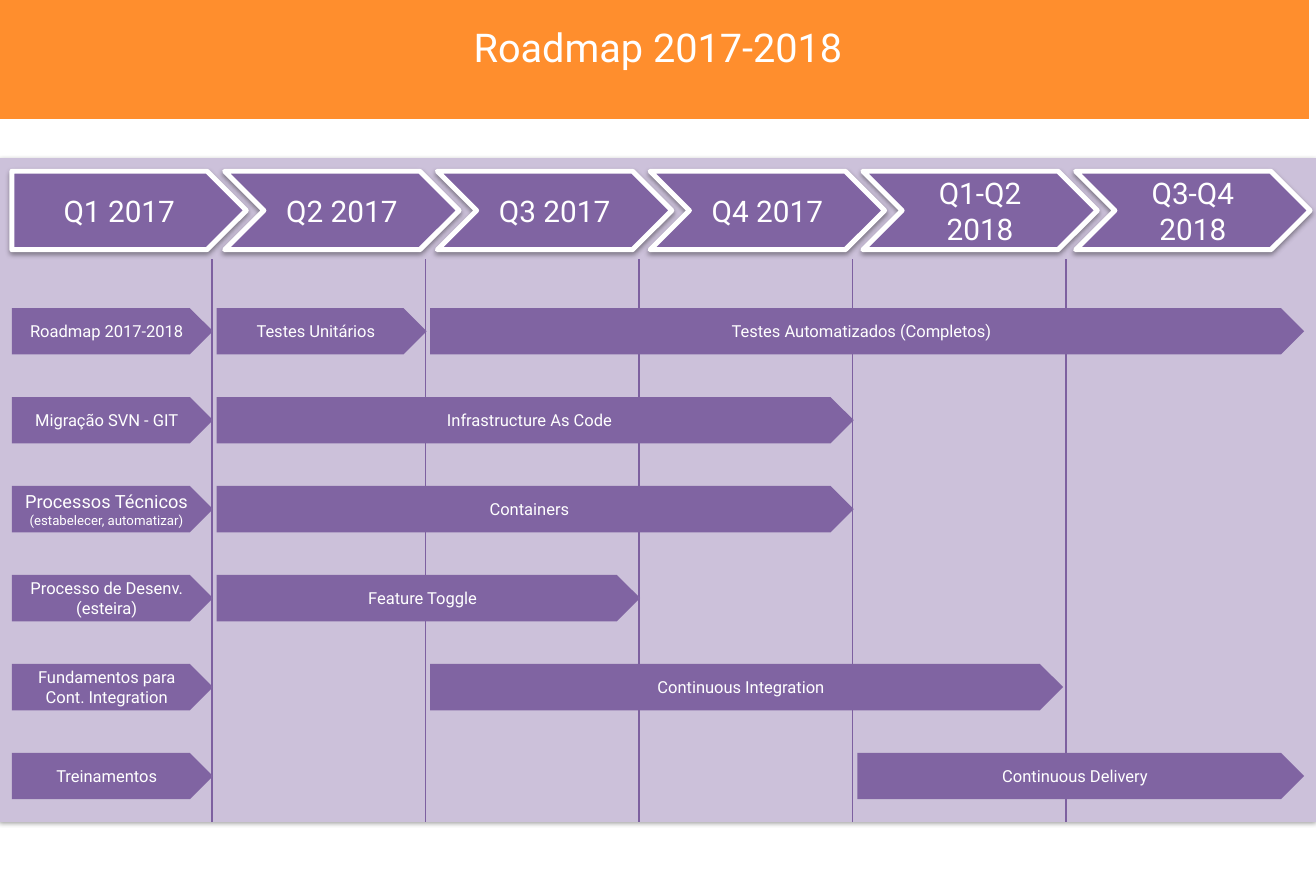
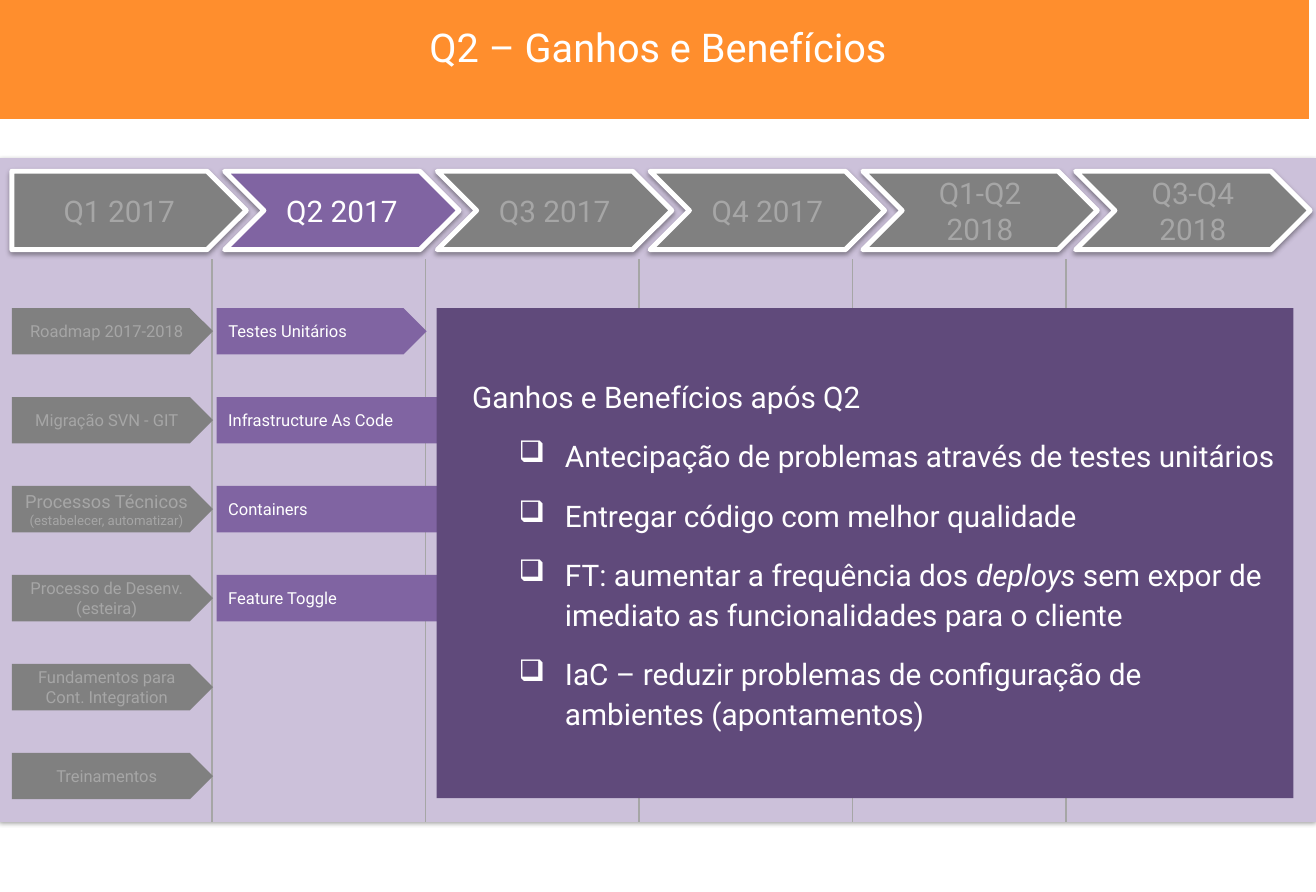
from lxml import etree
from pptx import Presentation
from pptx import util as u
from pptx.dml.color import RGBColor
from pptx.enum import shapes, text
from pptx.oxml.ns import qn

WIDTH, HEIGHT = 11.06, 7.5
FONT = "Roboto"
ORANGE, WHITE = "FF8E2D", "FFFFFF"
LILAC, PURPLE, DARK_PURPLE, LINE_PURPLE = "CCC1DA", "8064A2", "604A7B", "7D60A0"
GRAY, LIGHT_GRAY = "808080", "A6A6A6"
RECTANGLE = shapes.MSO_SHAPE.RECTANGLE
PENTAGON = shapes.MSO_SHAPE.PENTAGON
CHEVRON = shapes.MSO_SHAPE.CHEVRON
CENTER, LEFT = text.PP_ALIGN.CENTER, text.PP_ALIGN.LEFT

# Roadmap grid: quarter columns and task rows
BOARD = (0, 1.33, WIDTH, 5.58)
EDGES = [0.06] + [1.78 + 1.795 * i for i in range(5)] + [10.95]
ROW_TOP, ROW_STEP, BAR_HEIGHT = 2.59, 0.748, 0.39
QUARTERS = ["Q1 2017", "Q2 2017", "Q3 2017", "Q4 2017", "Q1-Q2 2018", "Q3-Q4 2018"]

FIRST_QUARTER = [
    "Roadmap 2017-2018",
    "Migração SVN - GIT",
    [("Processos Técnicos ", 11), ("(estabelecer, automatizar)", 8)],
    "Processo de Desenv. (esteira)",
    "Fundamentos para Cont. Integration",
    "Treinamentos",
]
# label, row, first column, end column
SECOND_QUARTER = [
    ("Testes Unitários", 0, 1, 2),
    ("Infrastructure As Code", 1, 1, 4),
    ("Containers", 2, 1, 4),
    ("Feature Toggle", 3, 1, 3),
]
LATER_QUARTERS = [
    ("Testes Automatizados (Completos)", 0, 2, 6),
    ("Continuous Integration", 4, 2, 4.98),
    ("Continuous Delivery", 5, 4, 6),
]
BENEFITS = [
    [("Antecipação de problemas através de testes unitários", False)],
    [("Entregar código com melhor qualidade", False)],
    [("FT: aumentar a frequência dos ", False), ("deploys", True),
     (" sem expor de imediato as funcionalidades para o cliente", False)],
    [("IaC – reduzir problemas de configuração de ambientes (apontamentos)", False)],
]


def color(value):
    return RGBColor.from_string(value)


def inches(*values):
    return [u.Inches(value) for value in values]


def style_font(paragraph, size, font_color, align):
    paragraph.alignment = align
    paragraph.font.name = FONT
    paragraph.font.size = u.Pt(size)
    paragraph.font.color.rgb = color(font_color)


def paint(shape, fill, line=None):
    shape.shadow.inherit = False
    shape.fill.solid()
    shape.fill.fore_color.rgb = color(fill)
    if line:
        shape.line.color.rgb = color(line)
        shape.line.width = u.Pt(3)
    else:
        shape.line.fill.background()


def add_block(slide, kind, box, fill, line=None):
    shape = slide.shapes.add_shape(kind, *inches(*box))
    paint(shape, fill, line)
    shape.text_frame.word_wrap = True
    shape.text_frame.vertical_anchor = text.MSO_ANCHOR.MIDDLE
    return shape


def drop_shadow(shape):
    effects = shape._element.spPr.find(qn("a:effectLst"))
    shadow = etree.SubElement(effects, qn("a:outerShdw"), blurRad="40000",
                              dist="20000", dir="5400000", rotWithShape="0")
    black = etree.SubElement(shadow, qn("a:srgbClr"), val="000000")
    etree.SubElement(black, qn("a:alpha"), val="38000")


def bezier(points, steps=40):
    """Points along a cubic curve, without its start."""
    for step in range(1, steps + 1):
        t = step / steps
        weights = ((1 - t) ** 3, 3 * t * (1 - t) ** 2, 3 * t * t * (1 - t), t ** 3)
        yield tuple(sum(w * p[axis] for w, p in zip(weights, points)) for axis in (0, 1))


def add_title_band(slide, title):
    # Curved band
    right_half = [(10.82, 0.59), (9.36, 0.74), (7.48, 0.82), (5.43, 0.82)]
    left_half = [(5.43, 0.82), (3.38, 0.82), (1.5, 0.74), (0.04, 0.59)]
    outline = [(WIDTH, 0), (WIDTH, 0.57), right_half[0],
               *bezier(right_half), *bezier(left_half), (0, 0.59)]
    builder = slide.shapes.build_freeform(0, 0, scale=u.Inches(1))
    builder.add_line_segments(outline, close=True)
    paint(builder.convert_to_shape(), ORANGE)
    # Title
    frame = slide.shapes.add_textbox(*inches(0.94, 0.14, 9.18, 0.5)).text_frame
    frame.word_wrap = True
    frame.paragraphs[0].text = title
    style_font(frame.paragraphs[0], 24, WHITE, CENTER)


def add_board(slide, box, active, divider_color):
    left, top, width, height = box
    drop_shadow(add_block(slide, RECTANGLE, box, LILAC))
    # Quarter headings
    for i, quarter in enumerate(QUARTERS):
        fill, font_color = (PURPLE, WHITE) if i in active else (GRAY, LIGHT_GRAY)
        heading_box = (left + 0.1 + 1.788 * i, top + 0.11, 1.97, 0.66)
        heading = add_block(slide, CHEVRON if i else PENTAGON, heading_box, fill, WHITE)
        drop_shadow(heading)
        paragraph = heading.text_frame.paragraphs[0]
        paragraph.text = quarter
        style_font(paragraph, 18, font_color, CENTER)
    # Dividers between quarters
    for x in EDGES[1:-1]:
        divider = slide.shapes.add_connector(
            shapes.MSO_CONNECTOR.STRAIGHT, *inches(x, top + 0.85, x, top + height))
        divider.line.color.rgb = color(divider_color)
        divider.line.width = u.Pt(1)
        etree.SubElement(divider._element.spPr, qn("a:effectLst"))


def column_edge(column):
    whole = int(column)
    if whole == column:
        return EDGES[whole]
    return EDGES[whole] + (column - whole) * (EDGES[whole + 1] - EDGES[whole])


def add_bar(slide, label, row, first, end, fill=PURPLE, font_color=WHITE, align=CENTER):
    left = column_edge(first) + 0.04
    box = (left, ROW_TOP + ROW_STEP * row, column_edge(end) + 0.01 - left, BAR_HEIGHT)
    bar = add_block(slide, PENTAGON, box, fill)
    paragraph = bar.text_frame.paragraphs[0]
    style_font(paragraph, 10, font_color, align)
    if isinstance(label, str):
        paragraph.text = label
    else:
        for words, size in label:
            run = paragraph.add_run()
            run.text = words
            run.font.size = u.Pt(size)


def add_first_quarter(slide, fill, font_color):
    for row, label in enumerate(FIRST_QUARTER):
        add_bar(slide, label, row, 0, 1, fill, font_color)


def indent(paragraph, margin, hanging, bullet=None):
    properties = paragraph._p.get_or_add_pPr()
    properties.set("marL", str(u.Inches(margin)))
    properties.set("indent", str(u.Inches(hanging)))
    if bullet:
        etree.SubElement(properties, qn("a:buChar"), char=bullet)


def add_benefits(slide, box):
    frame = add_block(slide, RECTANGLE, box, DARK_PURPLE).text_frame
    heading = frame.paragraphs[0]
    heading.text = "Ganhos e Benefícios após Q2"
    indent(heading, 0.2, 0)
    for runs in BENEFITS:
        paragraph = frame.add_paragraph()
        indent(paragraph, 0.98, -0.39, "❑")
        paragraph.space_before = u.Pt(6)
        for words, italic in runs:
            run = paragraph.add_run()
            run.text = words
            if italic:
                run.font.italic = True
    for paragraph in frame.paragraphs:
        paragraph.line_spacing = u.Pt(24)
        paragraph.space_after = u.Pt(6)
        style_font(paragraph, 18, WHITE, LEFT)


def build_roadmap(slide):
    add_title_band(slide, "Roadmap 2017-2018")
    add_board(slide, BOARD, range(len(QUARTERS)), LINE_PURPLE)
    for bar in SECOND_QUARTER + LATER_QUARTERS:
        add_bar(slide, *bar)
    add_first_quarter(slide, PURPLE, WHITE)


def build_second_quarter(slide):
    add_title_band(slide, "Q2 – Ganhos e Benefícios")
    add_board(slide, BOARD, [1], LIGHT_GRAY)
    for bar in SECOND_QUARTER:
        add_bar(slide, *bar, align=LEFT)
    add_first_quarter(slide, GRAY, LIGHT_GRAY)
    add_benefits(slide, (3.67, ROW_TOP, 7.2, 4.12))


def main():
    presentation = Presentation()
    presentation.slide_width, presentation.slide_height = inches(WIDTH, HEIGHT)
    for build in (build_roadmap, build_second_quarter):
        build(presentation.slides.add_slide(presentation.slide_layouts[6]))
    presentation.save("out.pptx")


if __name__ == "__main__":
    main()
